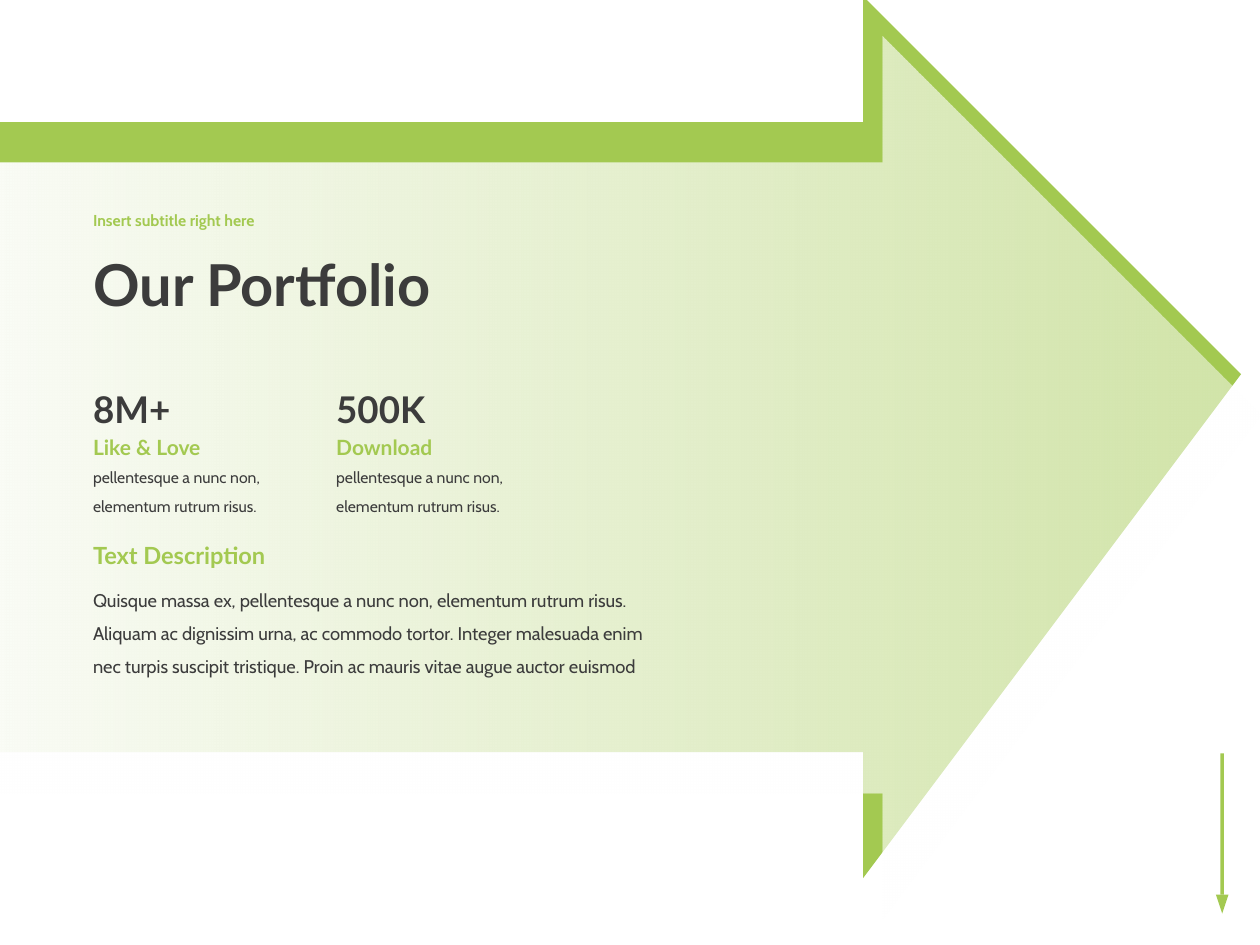
from lxml import etree
from pptx import Presentation
from pptx.dml.color import RGBColor
from pptx.enum.shapes import MSO_SHAPE
from pptx.enum.text import MSO_ANCHOR, PP_ALIGN
from pptx.oxml.ns import qn
from pptx.util import Inches, Pt

RECT, TRIANGLE = MSO_SHAPE.RECTANGLE, MSO_SHAPE.ISOSCELES_TRIANGLE
TOP, MIDDLE = MSO_ANCHOR.TOP, MSO_ANCHOR.MIDDLE
LEFT = PP_ALIGN.LEFT

COLORS = {"green": "A3C951", "dark": "3C3C3C", "white": "FFFFFF"}
HEAD_FONT, BODY_FONT = "Lato", "Cabin"
TITLE_ONLY = 5


def rgb(name):
    return RGBColor.from_string(COLORS[name])


def paint(sp, color):
    sp.shadow.inherit = False
    sp.fill.solid()
    sp.fill.fore_color.rgb = rgb(color)
    sp.line.fill.background()


def write(sp, text, size, font, color, bold=False, spacing=1.0, anchor=TOP):
    tf = sp.text_frame
    tf.word_wrap = True
    tf.vertical_anchor = anchor
    p = tf.paragraphs[0]
    p.alignment = LEFT
    p.line_spacing = spacing
    p.space_before = Pt(0)
    r = p.add_run()
    r.text = text
    r.font.size = Pt(size)
    r.font.name = font
    r.font.bold = bold
    r.font.color.rgb = rgb(color)


def add_text(s, x, y, w, h, *args, **style):
    sp = s.shapes.add_textbox(Inches(x), Inches(y), Inches(w), Inches(h))
    write(sp, *args, **style)


def add_block_arrow(s, x, y, w, h):
    """Right-pointing arrow that fills the given box."""
    neck, inset = 6.56, 0.87
    builder = s.shapes.build_freeform(neck, 0, scale=Inches(1))
    builder.add_line_segments([
        (w, h / 2), (neck, h), (neck, h - inset),
        (0, h - inset), (0, inset), (neck, inset)], close=True)
    sp = builder.convert_to_shape(Inches(x), Inches(y))
    paint(sp, "green")
    return sp


def fade_white(sp, alphas):
    """White gradient, left to right, with one opacity percentage per stop."""
    sp.fill.gradient()
    sp.fill.gradient_angle = 0
    for stop in sp.fill.gradient_stops:
        stop.color.rgb = rgb("white")
    for clr, alpha in zip(sp.fill._xPr.iter(qn("a:srgbClr")), alphas):
        etree.SubElement(clr, qn("a:alpha"), val=str(alpha * 1000))


def add_down_marker(s, x, y, w, h):
    head_h, line_w = 0.15, 0.03
    line_h = h - head_h
    line = s.shapes.add_shape(RECT, Inches(x + (w - line_w) / 2), Inches(y),
                              Inches(line_w), Inches(line_h))
    head = s.shapes.add_shape(TRIANGLE, Inches(x), Inches(y + line_h),
                              Inches(w), Inches(head_h))
    head.rotation = 180
    for sp in (line, head):
        paint(sp, "green")


def add_heading(s, x, y, w):
    title = s.shapes.title
    title.left, title.top = Inches(x), Inches(y + 0.2)
    title.width, title.height = Inches(w), Inches(1.03)
    write(title, "Our Portfolio", 33, HEAD_FONT, "dark", bold=True,
          spacing=0.9, anchor=MIDDLE)
    add_text(s, x, y, w, 0.38, "Insert subtitle right here", 9, BODY_FONT,
             "green", bold=True, spacing=0.9, anchor=MIDDLE)


def add_stat(s, x, y, w, number, label):
    add_text(s, x, y + 0.57, w, 0.53,
             "pellentesque a nunc non, elementum rutrum risus.",
             9, BODY_FONT, "dark", spacing=1.5)
    add_text(s, x, y + 0.38, 1.5, 0.3, label, 12, HEAD_FONT, "green", bold=True)
    add_text(s, x, y, 1.5, 0.45, number, 21, HEAD_FONT, "dark", bold=True)


def add_description(s, x, y, w):
    add_text(s, x, y, 2.19, 0.33, "Text Description", 13.5, HEAD_FONT,
             "green", bold=True)
    add_text(s, x, y + 0.3, w, 0.87,
             "Quisque massa ex, pellentesque a nunc non, elementum rutrum "
             "risus. Aliquam ac dignissim urna, ac commodo tortor. Integer "
             "malesuada enim nec turpis suscipit tristique. Proin ac mauris "
             "vitae augue auctor euismod",
             10.5, BODY_FONT, "dark", spacing=1.5)


def main():
    prs = Presentation()
    prs.slide_width, prs.slide_height = Inches(10), Inches(7.5)
    s = prs.slides.add_slide(prs.slide_layouts[TITLE_ONLY])

    # Background arrows and page marker
    add_down_marker(s, 9.65, 5.98, 0.1, 1.27)
    add_block_arrow(s, -0.15, -0.03, 9.74, 6.92)
    fade_white(add_block_arrow(s, 0, 0.29, 9.74, 6.92), (95, 50))

    # Text column
    left = 0.64
    add_heading(s, left, 1.57, 5.63)
    stats = [("8M+", "Like & Love"), ("500K", "Download")]
    for i, (number, label) in enumerate(stats):
        add_stat(s, left + i * 1.93, 3.02, 1.89, number, label)
    add_description(s, left, 4.24, 4.64)

    # Title in front of the arrows
    s.shapes._spTree.append(s.shapes.title._element)
    prs.save("out.pptx")


if __name__ == "__main__":
    main()
